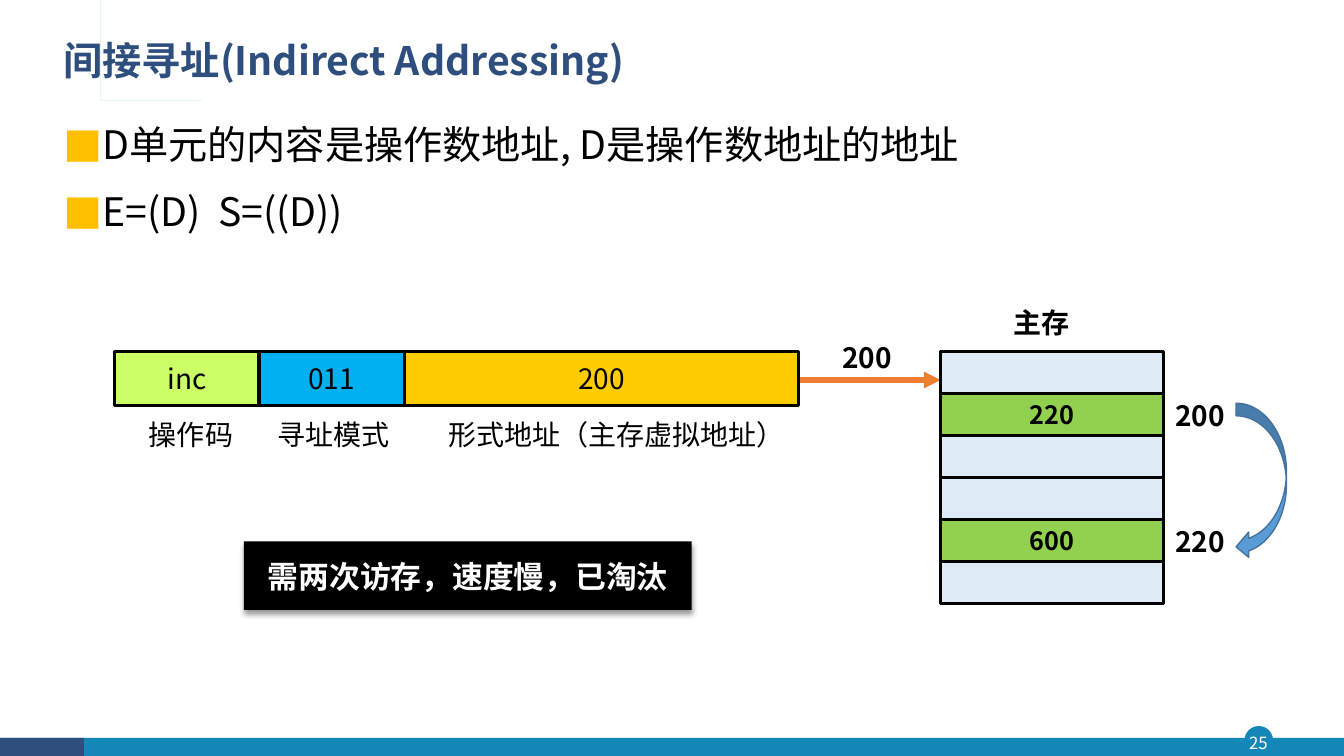
from lxml.etree import SubElement
from pptx import Presentation
from pptx.dml.color import RGBColor
from pptx.enum.shapes import MSO_CONNECTOR, MSO_SHAPE
from pptx.enum.text import MSO_ANCHOR, MSO_AUTO_SIZE, PP_ALIGN
from pptx.oxml.ns import qn
from pptx.util import Inches, Pt

FONT = "Noto Sans CJK SC"
WIDTH, HEIGHT = 13.33, 7.5
BLUE, NAVY, BLACK, WHITE = "1387B7", "2E4E7E", "000000", "FFFFFF"
PALE, GREEN = "DEEBF7", "92D050"


def color(value):
    return RGBColor.from_string(value)


def box_lengths(box):
    return [Inches(length) for length in box]


def add_run(paragraph, text, size, ink=BLACK, bold=False):
    run = paragraph.add_run()
    run.text = text
    run.font.name = FONT
    run.font.size = Pt(size)
    run.font.bold = bold
    run.font.color.rgb = color(ink)
    SubElement(run.font._element, qn("a:ea")).set("typeface", FONT)


def write_centered(shape, text, size, ink=BLACK, bold=False, anchor=MSO_ANCHOR.MIDDLE):
    frame = shape.text_frame
    frame.vertical_anchor = anchor
    paragraph = frame.paragraphs[0]
    paragraph.alignment = PP_ALIGN.CENTER
    add_run(paragraph, text, size, ink, bold)
    return paragraph


def add_block(slide, kind, box, fill, line=None, line_width=1):
    shape = slide.shapes.add_shape(kind, *box_lengths(box))
    shape.shadow.inherit = False
    shape.fill.solid()
    shape.fill.fore_color.rgb = color(fill)
    if line:
        shape.line.color.rgb = color(line)
        shape.line.width = Pt(line_width)
    else:
        shape.line.fill.background()
    return shape


def add_label(slide, box, text, bold=False):
    label = slide.shapes.add_textbox(*box_lengths(box))
    label.text_frame.word_wrap = False
    label.text_frame.auto_size = MSO_AUTO_SIZE.SHAPE_TO_FIT_TEXT
    write_centered(label, text, 20, bold=bold, anchor=MSO_ANCHOR.TOP)


def add_footer(slide, left, top, width, height):
    add_block(slide, MSO_SHAPE.OVAL, (12.35, top - 0.11, 0.27, 0.27), BLUE, BLUE)
    add_block(slide, MSO_SHAPE.RECTANGLE, (left, top, width, height), BLUE)
    add_block(slide, MSO_SHAPE.RECTANGLE, (left, top, width / 16, height), NAVY)
    number = slide.shapes.add_textbox(*box_lengths((12.32, top - 0.11, 0.32, 0.31)))
    frame = number.text_frame
    frame.margin_left = frame.margin_right = frame.margin_top = frame.margin_bottom = 0
    write_centered(number, "25", 12, WHITE)


def add_title(slide, left, top, width, height):
    """Place the bracket ornament and the title beside it."""
    outline = [(0.54, 0.39), (0.54, 0.85), (1.87, 0.85), (1.87, 0.87), (0.52, 0.87),
               (0.52, 0.41), (0.47, 0.41), (0.47, 0.87), (0.36, 0.87), (0.36, 0.39),
               (0.39, 0.39), (0.39, 0.84), (0.44, 0.84), (0.44, 0.39)]
    builder = slide.shapes.build_freeform(*outline[0], scale=Inches(1))
    builder.add_line_segments(outline[1:], close=True)
    bracket = builder.convert_to_shape()
    bracket.shadow.inherit = False
    bracket.fill.solid()
    bracket.fill.fore_color.rgb = color("28A9D6")
    bracket.line.fill.background()

    title = slide.shapes.title
    title.left, title.top, title.width, title.height = box_lengths((left, top, width, height))
    title.text_frame.vertical_anchor = MSO_ANCHOR.MIDDLE
    paragraph = title.text_frame.paragraphs[0]
    paragraph.alignment = PP_ALIGN.LEFT
    paragraph.line_spacing = 0.9
    add_run(paragraph, "间接寻址(Indirect Addressing)", 28, NAVY, True)


def add_bullets(slide, left, top, width, height):
    body = slide.shapes.add_textbox(*box_lengths((left, top, width, height)))
    frame = body.text_frame
    frame.word_wrap = True
    lines = ["D单元的内容是操作数地址, D是操作数地址的地址", "E=(D)  S=((D))"]
    for index, line in enumerate(lines):
        paragraph = frame.add_paragraph() if index else frame.paragraphs[0]
        paragraph.alignment = PP_ALIGN.JUSTIFY
        paragraph.line_spacing = 1.25
        if index:
            paragraph.space_before = Pt(6)
        properties = paragraph._p.get_or_add_pPr()
        properties.set("marL", str(Inches(0.38)))
        properties.set("indent", str(-Inches(0.38)))
        bullet_color = SubElement(properties, qn("a:buClr"))
        SubElement(bullet_color, qn("a:srgbClr")).set("val", "FFC000")
        SubElement(properties, qn("a:buFont")).set("typeface", FONT)
        SubElement(properties, qn("a:buChar")).set("char", "■")
        add_run(paragraph, line, 28)


def add_instruction(slide, left, top, height):
    fields = [("inc", 1.43, "CCFF66", "操作码", 0.04),
              ("011", 1.44, "00B0F0", "寻址模式", 0.02),
              ("200", 3.91, "FFCC00", "形式地址（主存虚拟地址）", 0.15)]
    for value, width, fill, caption, shift in fields:
        cell = add_block(slide, MSO_SHAPE.RECTANGLE, (left, top, width, height),
                         fill, BLACK, 2.25)
        write_centered(cell, value, 20)
        add_label(slide, (left + shift, top + 0.6, width, 0.44), caption)
        left += width


def add_address_arrow(slide, left, right, y):
    arrow = slide.shapes.add_connector(
        MSO_CONNECTOR.STRAIGHT, *box_lengths((left, y, right, y)))
    arrow.line.color.rgb = color("ED7D31")
    arrow.line.width = Pt(4)
    SubElement(arrow.line._get_or_add_ln(), qn("a:tailEnd")).set("type", "triangle")
    SubElement(arrow._element.spPr, qn("a:effectLst"))
    add_label(slide, (left + 0.31, y - 0.44, 0.72, 0.44), "200", True)


def add_memory(slide, left, top, width, height):
    """Stack the memory cells, with addresses and the lookup arrow at the right."""
    values = [None, "220", None, None, "600", None]
    row = height / len(values)
    right = left + width
    add_label(slide, (9.95, top - 0.51, 0.76, 0.44), "主存", True)
    for index, value in enumerate(values):
        cell = add_block(slide, MSO_SHAPE.RECTANGLE, (left, top + index * row, width, row),
                         GREEN if value else PALE, BLACK, 2)
        if value:
            write_centered(cell, value, 18, bold=True)
    for address, index in (("200", 1), ("220", 4)):
        add_label(slide, (right, top + index * row, 0.72, 0.44), address, True)
    add_block(slide, MSO_SHAPE.CURVED_LEFT_ARROW,
              (right + 0.72, top + 0.51, 0.5, 1.55), "5B9BD5", "43739E")


def add_note(slide, left, top, width, height):
    note = add_block(slide, MSO_SHAPE.RECTANGLE, (left, top, width, height), BLACK)
    effects = note._element.spPr.find(qn("a:effectLst"))
    shadow = SubElement(effects, qn("a:outerShdw"), blurRad=str(Pt(4)),
                        dist=str(Pt(3)), dir="5400000", rotWithShape="0")
    shade = SubElement(shadow, qn("a:srgbClr"), val=BLACK)
    SubElement(shade, qn("a:alpha"), val="40000")
    paragraph = write_centered(note, "需两次访存，速度慢，已淘汰", 22, WHITE, True,
                               MSO_ANCHOR.TOP)
    paragraph.line_spacing = 1.3


def main():
    presentation = Presentation()
    presentation.slide_width, presentation.slide_height = Inches(WIDTH), Inches(HEIGHT)
    slide = presentation.slides.add_slide(presentation.slide_layouts[5])
    add_footer(slide, 0, 7.32, WIDTH, 0.18)
    add_title(slide, 0.53, 0.28, 11.5, 0.68)
    add_bullets(slide, 0.53, 1.03, 11.5, 1.74)
    add_instruction(slide, 1.14, 3.49, 0.53)
    add_address_arrow(slide, 7.93, 9.33, 3.77)
    add_memory(slide, 9.33, 3.49, 2.21, 2.5)
    add_note(slide, 2.42, 5.37, 4.44, 0.68)
    presentation.save("out.pptx")


if __name__ == "__main__":
    main()
